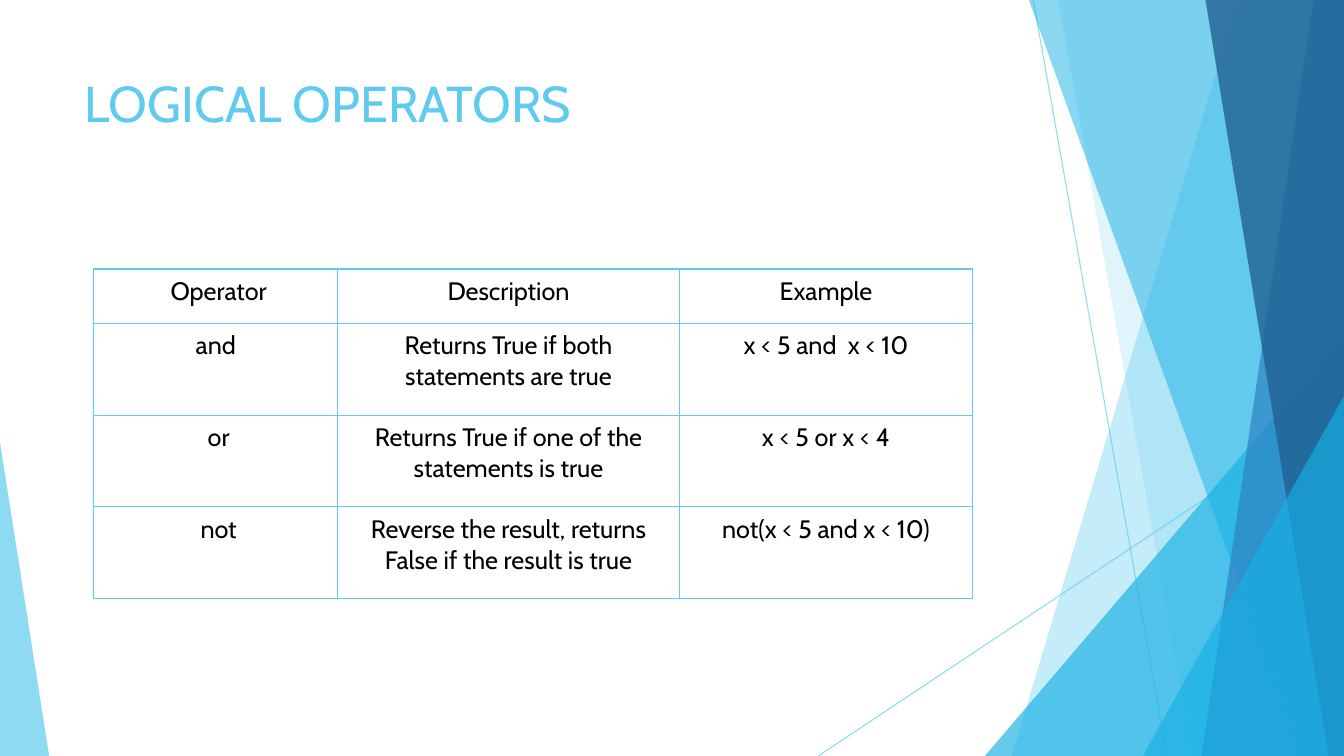
from pptx import Presentation as Deck
from pptx.dml.color import RGBColor as Rgb
from pptx.enum.shapes import MSO_CONNECTOR as Link, MSO_SHAPE as Form
from pptx.enum.text import MSO_ANCHOR as Anchor, PP_ALIGN as Align
from pptx.oxml.ns import qn
from pptx.util import Cm, Pt
from lxml.etree import SubElement as add_sub

SKY = Rgb(0x5F, 0xCB, 0xEF)
CYAN = Rgb(0x17, 0xB0, 0xE4)
BLUE = Rgb(0x2E, 0x83, 0xC3)
NAVY = Rgb(0x22, 0x62, 0x92)
BLACK = Rgb(0, 0, 0)
WIDE, HIGH = 33.87, 19.05


def write(frame, text, font="Cabin", size=18, color=BLACK, align=Align.CENTER):
    frame.word_wrap = True
    para = frame.paragraphs[0]
    para.alignment = align
    run = para.add_run()
    run.text = text
    run.font.name = font
    run.font.size = Pt(size)
    run.font.color.rgb = color


def fade(shape, alpha):
    for color in shape.element.spPr.iter(qn("a:srgbClr")):
        add_sub(color, qn("a:alpha"), val=str(alpha * 1000))


class Page:
    def __init__(self, deck, edge=SKY):
        self.slide = deck.slides.add_slide(deck.slide_layouts[5])
        self.shapes = self.slide.shapes
        self.edge = edge

    def title(self, text, left, top, width, height):
        box = self.shapes.title
        box.left, box.top, box.width, box.height = map(Cm, (left, top, width, height))
        box.text_frame.vertical_anchor = Anchor.TOP
        write(box.text_frame, text, size=36, color=self.edge, align=Align.LEFT)

    def line(self, *ends):
        line = self.shapes.add_connector(Link.STRAIGHT, *map(Cm, ends))
        line.line.color.rgb = self.edge
        line.line.width = Pt(0.75)
        fade(line, 70)
        add_sub(line.element.spPr, qn("a:effectLst"))

    def paint(self, shape, color, alpha):
        shape.shadow.inherit = False
        shape.fill.solid()
        shape.fill.fore_color.rgb = color
        shape.line.fill.background()
        fade(shape, alpha)

    def panel(self, head, foot, color, alpha):
        path = self.shapes.build_freeform(Cm(head), 0)
        path.add_line_segments([(Cm(WIDE), 0), (Cm(WIDE), Cm(HIGH)), (Cm(foot), Cm(HIGH))])
        self.paint(path.convert_to_shape(), color, alpha)

    def wedge(self, left, right, top, tip, color, alpha):
        size = map(Cm, (left, top, right - left, HIGH - top))
        shape = self.shapes.add_shape(Form.ISOSCELES_TRIANGLE, *size)
        shape.adjustments[0] = tip
        self.paint(shape, color, alpha)

    def border(self, cell):
        props = cell._tc.get_or_add_tcPr()
        for side in "LRTB":
            line = add_sub(props, qn(f"a:ln{side}"), w=str(Pt(1)))
            fill = add_sub(line, qn("a:solidFill"))
            add_sub(fill, qn("a:srgbClr"), val=str(self.edge))

    def table(self, data, left, top, cols, rows):
        size = map(Cm, (left, top, sum(cols), sum(rows)))
        grid = self.shapes.add_table(len(rows), len(cols), *size).table
        grid.first_row = grid.horz_banding = False
        for col, width in zip(grid.columns, cols):
            col.width = Cm(width)
        for row, height, texts in zip(grid.rows, rows, data):
            row.height = Cm(height)
            for spot, (cell, text) in enumerate(zip(row.cells, texts)):
                cell.margin_left = Cm(0.18 if spot else 0.33)
                cell.margin_right = cell.margin_top = cell.margin_bottom = Cm(0.18)
                self.border(cell)
                cell.fill.background()
                write(cell.text_frame, text)


deck = Deck()
deck.slide_width, deck.slide_height = Cm(WIDE), Cm(HIGH)
page = Page(deck)

page.line(26.04, 0, 29.41, HIGH)
page.line(WIDE, 10.24, 20.62, HIGH)
page.panel(31.19, 25.5, SKY, 36)
page.panel(26.67, 30.05, SKY, 20)
page.wedge(24.82, WIDE, 8.46, 1, CYAN, 66)
page.panel(25.93, 32.79, CYAN, 50)
page.panel(33.1, 30.28, BLUE, 70)
page.panel(30.38, 33.48, NAVY, 80)
page.wedge(28.8, WIDE, 9.98, 1, CYAN, 66)
page.wedge(0, 1.24, 11.15, 0, SKY, 70)

page.title("LOGICAL OPERATORS", 1.88, 1.7, 23.88, 3.66)
page.table(
    [
        ("Operator", "Description", "Example"),
        ("and\u00a0", "Returns True if both statements are true", "x < 5 and\u00a0 x < 10"),
        ("or", "Returns True if one of the statements is true", "x < 5 or x < 4"),
        ("not", "Reverse the result, returns False if the result is true", "not(x < 5 and x < 10)"),
    ],
    2.36, 6.78, cols=(6.15, 8.61, 7.39), rows=(1.37, 2.31, 2.31, 2.31),
)

deck.save("out.pptx")
